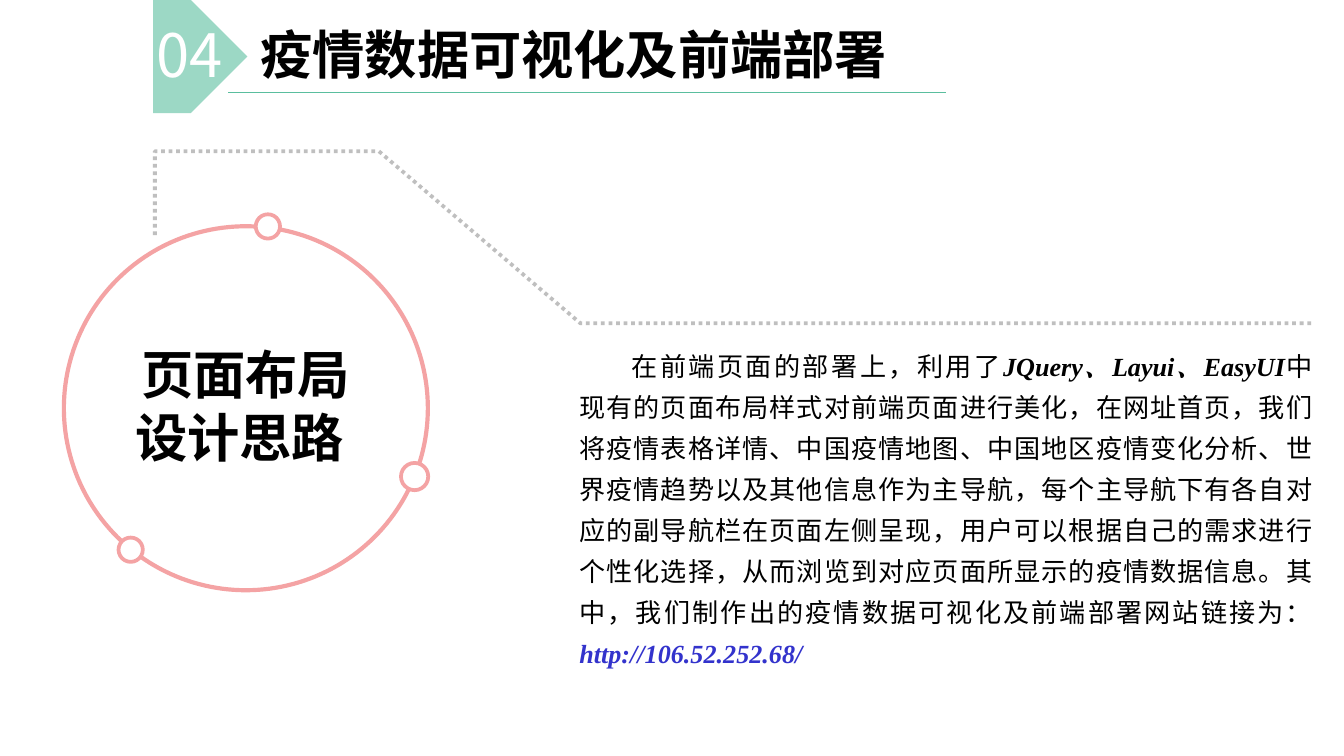
from lxml import etree
from pptx import Presentation
from pptx.dml.color import RGBColor
from pptx.enum.dml import MSO_LINE
from pptx.enum.shapes import MSO_CONNECTOR, MSO_SHAPE
from pptx.enum.text import MSO_AUTO_SIZE, PP_ALIGN
from pptx.oxml.ns import qn
from pptx.util import Pt

OVAL = MSO_SHAPE.OVAL
STRAIGHT = MSO_CONNECTOR.STRAIGHT
DOTS = MSO_LINE.ROUND_DOT
GROW = MSO_AUTO_SIZE.SHAPE_TO_FIT_TEXT
LEFT, CENTER, JUSTIFY = PP_ALIGN.LEFT, PP_ALIGN.CENTER, PP_ALIGN.JUSTIFY

SANS, SERIF = "Noto Sans CJK SC", "Times New Roman"
BLACK, WHITE, GREY, BLUE = "000000", "FFFFFF", "BFBFBF", "3333CC"
PINK, MINT, GREEN = "F4A3A4", "9CD8C5", "5ABE9E"


def color(code):
    return RGBColor.from_string(code)


class Deck:
    def __init__(self, width, height):
        self.file = Presentation()
        self.file.slide_width, self.file.slide_height = Pt(width), Pt(height)
        self.slide = self.file.slides.add_slide(self.file.slide_layouts[6])
        self.shapes = self.slide.shapes

    def paint(self, shape, fill=None, line=None, width=1, dash=None):
        shape.shadow.inherit = False
        if fill:
            shape.fill.solid()
            shape.fill.fore_color.rgb = color(fill)
        else:
            shape.fill.background()
        if line:
            shape.line.color.rgb = color(line)
            for name, value in {"width": Pt(width), "dash_style": dash}.items():
                setattr(shape.line, name, value)
        else:
            shape.line.fill.background()

    def circle(self, x, y, size, **style):
        shape = self.shapes.add_shape(OVAL, Pt(x), Pt(y), Pt(size), Pt(size))
        self.paint(shape, **style)

    def outline(self, points, close=False, **style):
        spots = [(Pt(x), Pt(y)) for x, y in points]
        pen = self.shapes.build_freeform(*spots[0])
        pen.add_line_segments(spots[1:], close=close)
        self.paint(pen.convert_to_shape(), **style)

    def line(self, x1, y1, x2, y2, code, width):
        line = self.shapes.add_connector(STRAIGHT, Pt(x1), Pt(y1), Pt(x2), Pt(y2))
        line.line.color.rgb = color(code)
        line.line.width = Pt(width)
        etree.SubElement(line._element.spPr, qn("a:effectLst"))

    def text(self, box, paras, size, align=LEFT, wrap=True, lead=None, indent=0):
        """Each paragraph is a list of (text, font, colour, format, spacing) runs."""
        frame = self.shapes.add_textbox(*map(Pt, box)).text_frame
        frame.word_wrap = wrap
        frame.auto_size = GROW
        for i, runs in enumerate(paras):
            para = frame.add_paragraph() if i else frame.paragraphs[0]
            para.alignment = align
            if lead:
                para.line_spacing = Pt(lead)
            if indent:
                para._p.get_or_add_pPr().set("indent", str(Pt(indent)))
            for words, face, code, form, gap in runs:
                run = para.add_run()
                run.text = words
                for name, value in {"name": face, "size": Pt(size), **form}.items():
                    setattr(run.font, name, value)
                run.font.color.rgb = color(code)
                props = run._r.get_or_add_rPr()
                if gap:
                    props.set("spc", str(round(gap * 100)))
                etree.SubElement(props, qn("a:ea")).set("typeface", face)


deck = Deck(720, 405)
bold = {"bold": True}
slant = {"bold": True, "italic": True}

# Ring with three knots
deck.circle(34.2, 121.2, 195, line=PINK, width=2.25)
for x, y, size in [(214.8, 248, 14.6), (137, 114.8, 13), (63.5, 288, 13)]:
    deck.circle(x, y, size, fill=WHITE, line=PINK, width=2)

# Dotted guide
deck.outline([(83, 126), (83, 81), (203, 81), (311, 173.2), (703.5, 173.2)],
             line=GREY, width=2, dash=DOTS)

# Body text
deck.text((303.3, 178.9, 407.5, 163), [[
    ("在前端页面的部署上，利用了", SANS, BLACK, {}, 0.5),
    ("JQuery、Layui、EasyUI", SERIF, BLACK, slant, 0),
    ("中现有的页面布局样式对前端页面进行美化，在网址首页，"
     "我们将疫情表格详情、中国疫情地图、中国地区疫情变化分析、"
     "世界疫情趋势以及其他信息作为主导航，"
     "每个主导航下有各自对应的副导航栏在页面左侧呈现，"
     "用户可以根据自己的需求进行个性化选择，"
     "从而浏览到对应页面所显示的疫情数据信息。"
     "其中，我们制作出的疫情数据可视化及前端部署网站链接为：",
     SANS, BLACK, {}, 0.5),
    ("http://106.52.252.68/", SERIF, BLUE, slant, 0),
]], 14, JUSTIFY, lead=22, indent=28)

# Ring label
deck.text((21.9, 180, 213, 75),
          [[(words, SANS, BLACK, bold, 0)] for words in (" 页面布局", "设计思路")],
          28, CENTER)

# Heading with number tag
deck.text((132.5, 8.6, 495, 41),
          [[("疫情数据可视化及前端部署", SANS, BLACK, bold, 0)]], 28)
deck.outline([(82, 0), (102.2, 0), (132.5, 30.3), (102.2, 60.6), (82, 60.6)],
             close=True, fill=MINT)
deck.text((76.6, 5.8, 52.6, 46), [[("04", SANS, WHITE, {}, 0)]], 32, wrap=False)
deck.line(122.4, 49.7, 506.9, 49.7, GREEN, 0.75)

deck.file.save("out.pptx")
